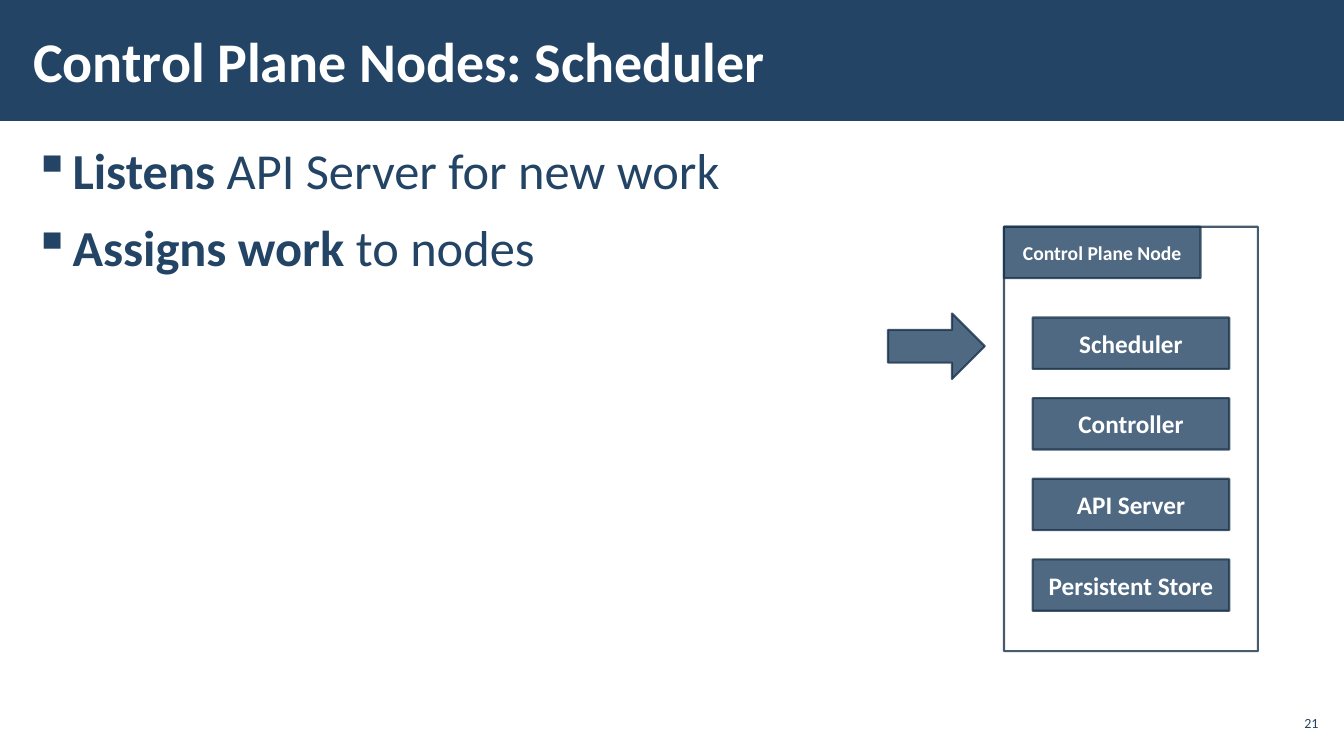
from dataclasses import dataclass
from lxml import etree
from pptx import Presentation
from pptx import util as u
from pptx.dml.color import RGBColor as Rgb
from pptx.enum import shapes, text
from pptx.oxml.ns import qn


@dataclass(frozen=True)
class Theme:
    font: str = "Calibri"
    navy: str = "234465"
    edge: str = "1A334C"
    white: str = "FFFFFF"
    head: int = 40
    body: int = 36
    label: int = 18
    tag: int = 14
    foot: int = 10
    line: float = 1.5
    alpha: int = 80


class Deck:
    """Places elements on a grid of 40 columns and 30 rows."""

    cols, rows = 40, 30

    def __init__(self, theme):
        self.look = theme
        self.prs = Presentation()
        self.prs.slide_width = u.Inches(13.33)
        self.prs.slide_height = u.Inches(7.5)
        self.slide = self.prs.slides.add_slide(self.prs.slide_layouts[5])

    def area(self, x, y, w, h):
        dx = self.prs.slide_width / self.cols
        dy = self.prs.slide_height / self.rows
        return [round(v) for v in (x * dx, y * dy, w * dx, h * dy)]

    def style(self, para, size, color, bold=None):
        font = para.font
        font.name, font.size, font.bold = self.look.font, u.Pt(size), bold
        font.color.rgb = Rgb.from_string(color)

    def frame(self, shape, side, anchor):
        tf = shape.text_frame
        tf.word_wrap, tf.vertical_anchor = True, anchor
        tf.auto_size = text.MSO_AUTO_SIZE.NONE
        tf.margin_left = tf.margin_right = u.Inches(side)
        tf.margin_top = tf.margin_bottom = u.Inches(0.04)
        return tf

    def fade(self, shape):
        """Make the solid fills of a shape and its line partly transparent."""
        props = shape._element.spPr
        for tone in props.xpath("./a:solidFill/* | ./a:ln/a:solidFill/*"):
            if tone.get("val") != self.look.white:
                etree.SubElement(tone, qn("a:alpha"),
                                 val=str(self.look.alpha * 1000))

    def band(self, *spot):
        bar = self.slide.shapes.add_shape(
            shapes.MSO_SHAPE.RECTANGLE, *self.area(*spot))
        bar.shadow.inherit = False
        bar.fill.solid()
        bar.fill.fore_color.rgb = Rgb.from_string(self.look.navy)
        bar.line.fill.background()
        self.slide.shapes._spTree.insert(2, bar._element)

    def title(self, words, *spot):
        head = self.slide.shapes.title
        head.left, head.top, head.width, head.height = self.area(*spot)
        tf = self.frame(head, 0.12, text.MSO_ANCHOR.MIDDLE)
        tf.text = words
        para = tf.paragraphs[0]
        para.alignment = text.PP_ALIGN.LEFT
        self.style(para, self.look.head, self.look.white, True)

    def bullets(self, items, *spot):
        """Write items, each a bold lead and a plain rest."""
        box = self.slide.shapes.add_textbox(*self.area(*spot))
        tf = self.frame(box, 0.12, text.MSO_ANCHOR.TOP)
        for i, (lead, rest) in enumerate(items):
            para = tf.add_paragraph() if i else tf.paragraphs[0]
            para.space_before = para.space_after = u.Pt(6)
            props = para._p.get_or_add_pPr()
            dent = u.Inches(0.39)
            props.set("marL", str(dent))
            props.set("indent", str(-dent))
            etree.SubElement(props, qn("a:buChar"), char="▪")
            self.style(para, self.look.body, self.look.navy)
            for words, bold in ((lead, True), (rest, False)):
                run = para.add_run()
                run.text, run.font.bold = words, bold

    def number(self, words, *spot):
        box = self.slide.shapes.add_textbox(*self.area(*spot))
        tf = self.frame(box, 0.04, text.MSO_ANCHOR.MIDDLE)
        tf.text = words
        para = tf.paragraphs[0]
        para.alignment = text.PP_ALIGN.RIGHT
        self.style(para, self.look.foot, self.look.navy)

    def block(self, spot, words="", size=None, clear=True, home=None,
              kind=shapes.MSO_SHAPE.RECTANGLE):
        """Draw an outlined shape, see-through navy if clear, else white."""
        look = self.look
        shape = (home or self.slide).shapes.add_shape(kind, *self.area(*spot))
        shape.shadow.inherit = False
        shape.fill.solid()
        tone = look.navy if clear else look.white
        shape.fill.fore_color.rgb = Rgb.from_string(tone)
        shape.line.color.rgb = Rgb.from_string(look.edge)
        shape.line.width = u.Pt(look.line)
        self.fade(shape)
        if words:
            tf = self.frame(shape, 0.1, text.MSO_ANCHOR.MIDDLE)
            tf.text = words
            para = tf.paragraphs[0]
            para.alignment = text.PP_ALIGN.CENTER
            self.style(para, size, look.white, True)

    def node(self, name, items, x, y, w, h):
        """Group a frame with a name tag and a column of items."""
        home = self.slide.shapes.add_group_shape()
        wide, high, step = 5.85, 2.04, 3.2
        self.block((x, y, w, h), clear=False, home=home)
        self.block((x, y, wide, high), name, self.look.tag, home=home)
        left = x + (w - wide) / 2
        for i, item in enumerate(items):
            self.block((left, y + 3.6 + i * step, wide, high), item,
                       self.look.label, home=home)


def main():
    deck = Deck(Theme())
    deck.band(0, 0, 40, 4.8)
    deck.title("Control Plane Nodes: Scheduler", 0.63, 0.44, 31.9, 3.88)
    deck.bullets([("Listens", " API Server for new work"),
                  ("Assigns work ", "to nodes")], 0.63, 5.36, 25.24, 21.08)
    deck.block((26.43, 12.44, 2.88, 2.6), kind=shapes.MSO_SHAPE.RIGHT_ARROW)
    deck.node("Control Plane Node",
              ["Scheduler", "Controller", "API Server", "Persistent Store"],
              29.88, 9, 7.56, 16.84)
    deck.number("21", 37.95, 28, 1.41, 1.36)
    deck.prs.save("out.pptx")


if __name__ == "__main__":
    main()
